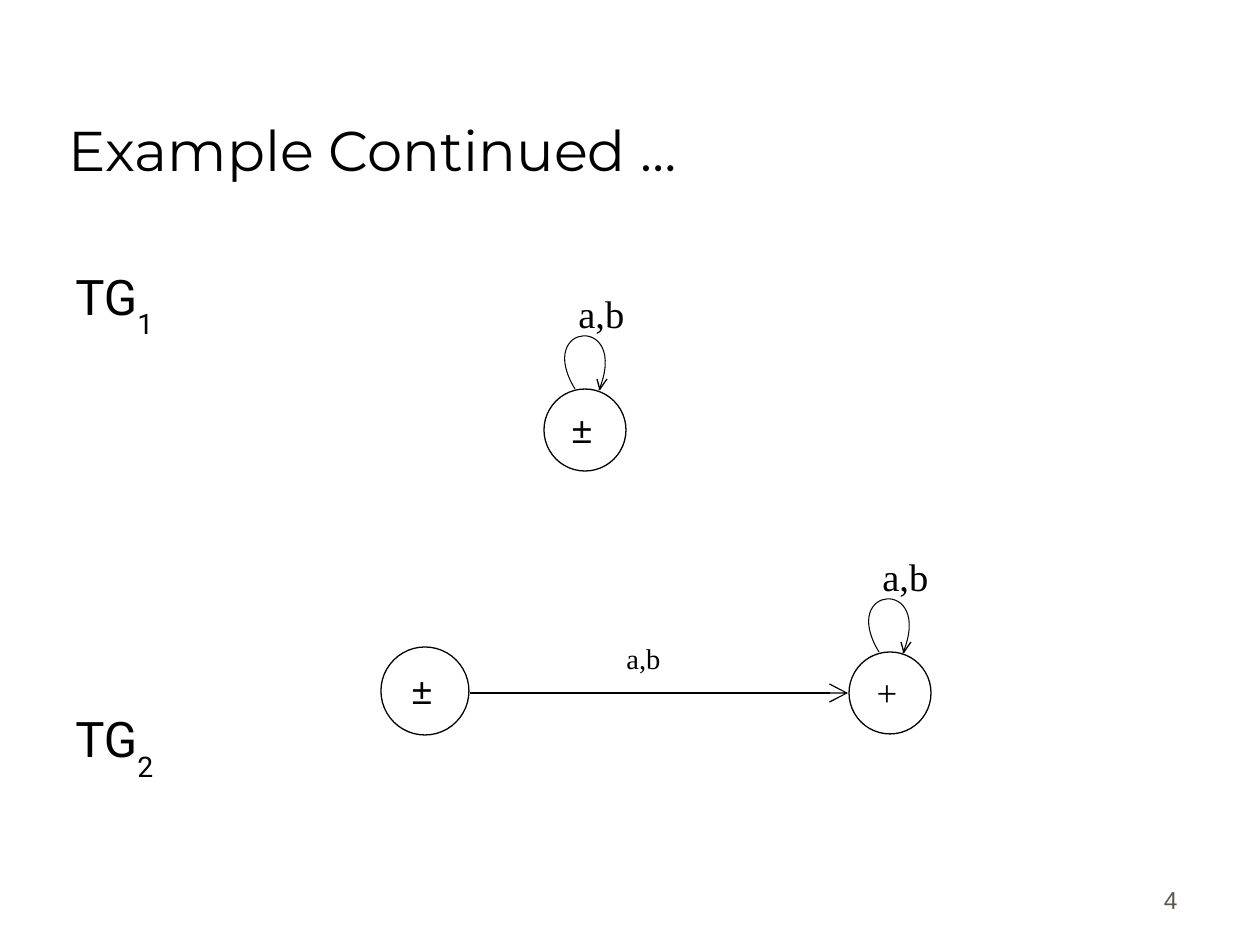
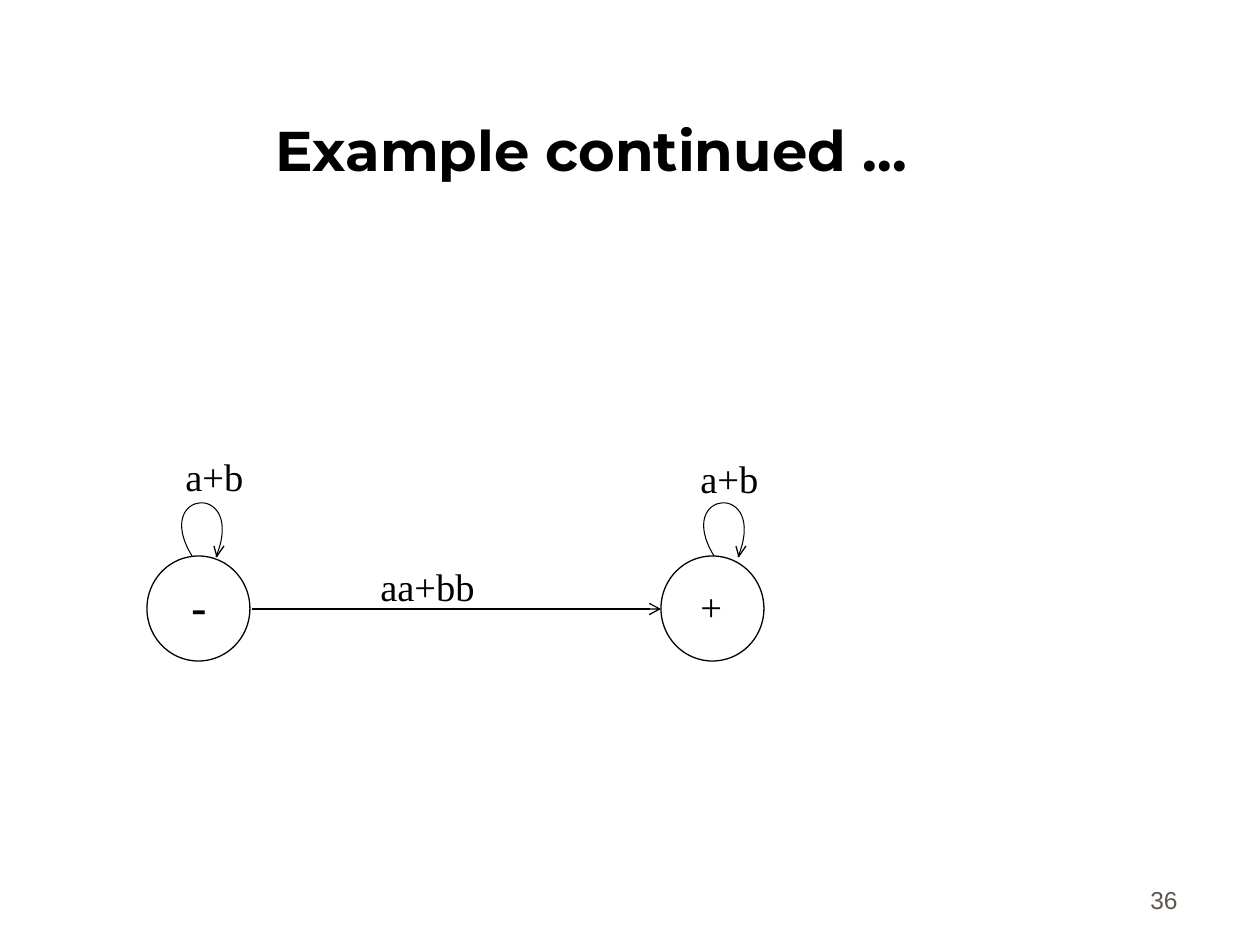
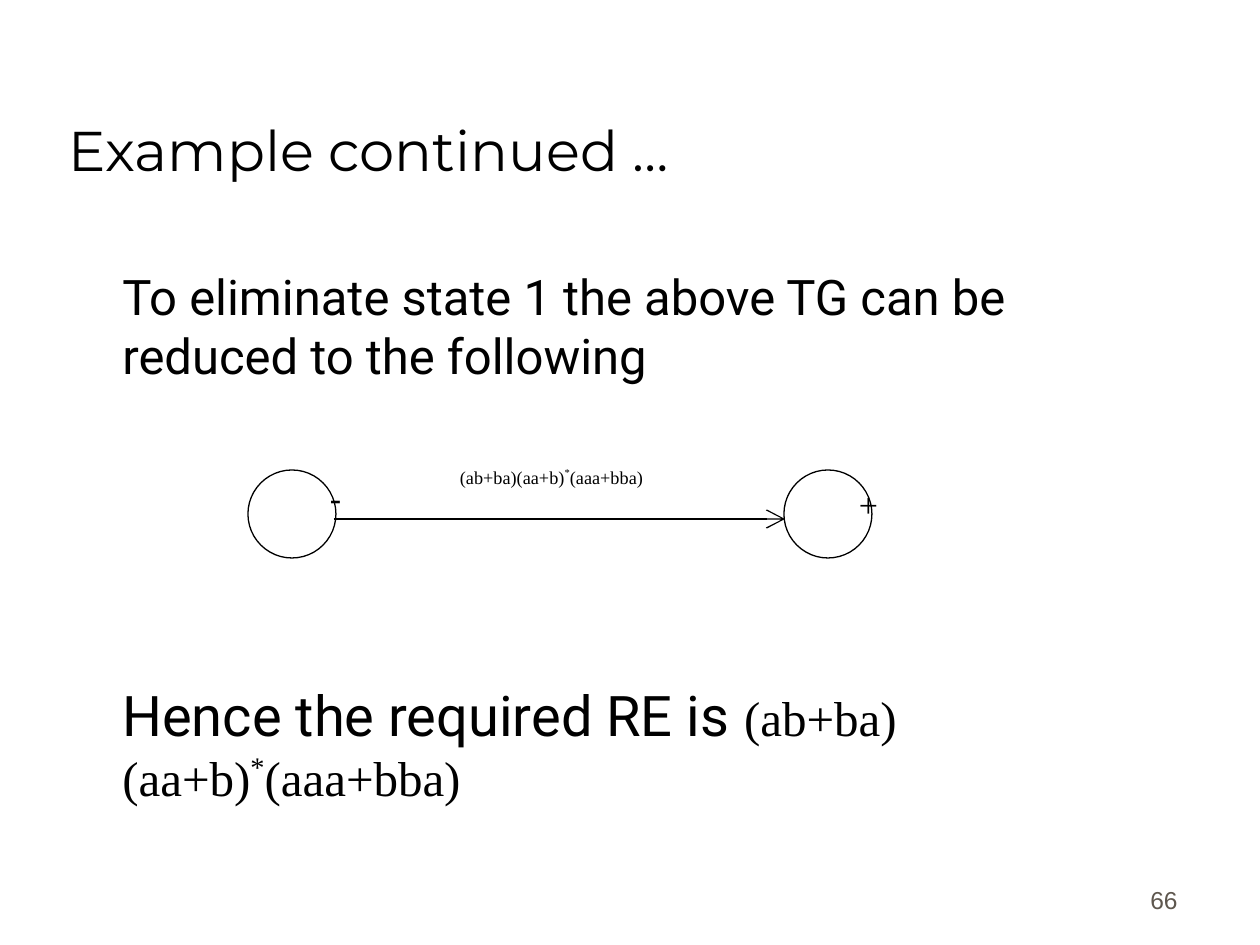
from dataclasses import dataclass
from typing import Optional

from lxml.etree import SubElement
from pptx import Presentation
from pptx.dml.color import RGBColor
from pptx.enum.shapes import MSO_CONNECTOR as CONNECTOR, MSO_SHAPE as SHAPE
from pptx.enum.text import MSO_ANCHOR as ANCHOR, MSO_AUTO_SIZE as AUTO_SIZE, PP_ALIGN as ALIGN
from pptx.oxml.ns import qn
from pptx.util import Emu, Pt

# Shared measures, colours and fonts
EMU_PER_PX = 914400 / 126
SLIDE_SIZE = (1260, 945)
TITLE_FRAME = (56, 31, 1071, 158)
BODY_FRAME = (63, 260, 1126, 575)
NUMBER_FRAME = (928, 858, 262, 63)
BODY_INDENT = 47
BLACK, WHITE, GREY = "000000", "FFFFFF", "5E574E"
TITLE_FONT, BODY_FONT, LABEL_FONT, NUMBER_FONT = "Montserrat", "Roboto", "Times New Roman", "Arial"
TITLE_ONLY = 5

# Self-loop, relative to where it leaves its state: Bezier points and arrowhead strokes
LOOP_CURVE = ((0, 0), (-41, -67), (55, -75), (24, 1))
LOOP_HEAD = ((25, 0, 32, -10), (22, -10, 25, 1))


@dataclass
class Span:
    text: str
    baseline: int = 0
    size: Optional[float] = None
    family: Optional[str] = None


def px(length):
    return Emu(round(length * EMU_PER_PX))


def frame_of(frame):
    return [px(length) for length in frame]


def color(hex_string):
    return RGBColor.from_string(hex_string)


def set_font(font, size, family, hex_color=BLACK, bold=False):
    font.size = Pt(size)
    font.name = family
    font.bold = bold
    font.color.rgb = color(hex_color)


def add_spans(para, spans):
    for span in spans:
        run = para.add_run()
        run.text = span.text
        if span.baseline:
            run._r.get_or_add_rPr().set("baseline", str(span.baseline * 1000))
        if span.size:
            run.font.size = Pt(span.size)
        if span.family:
            run.font.name = span.family


def add_box(page, frame, anchor=ANCHOR.TOP):
    text_frame = page.shapes.add_textbox(*frame_of(frame)).text_frame
    text_frame.word_wrap = True
    text_frame.vertical_anchor = anchor
    return text_frame


def add_page(deck, title, number, align=ALIGN.LEFT, bold=False):
    page = deck.slides.add_slide(deck.slide_layouts[TITLE_ONLY])
    heading = page.shapes.title
    heading.left, heading.top, heading.width, heading.height = frame_of(TITLE_FRAME)
    heading.text_frame.text = title
    heading.text_frame.auto_size = AUTO_SIZE.NONE
    heading.text_frame.vertical_anchor = ANCHOR.BOTTOM
    para = heading.text_frame.paragraphs[0]
    para.alignment = align
    set_font(para.font, 32, TITLE_FONT, bold=bold)

    para = add_box(page, NUMBER_FRAME, ANCHOR.BOTTOM).paragraphs[0]
    para.text = str(number)
    para.alignment = ALIGN.RIGHT
    set_font(para.font, 14, NUMBER_FONT, GREY)
    return page


def add_body(page, paragraphs, gap, indent=0):
    """Write the paragraphs with a gap in points that leaves room for a diagram."""
    text_frame = add_box(page, BODY_FRAME)
    for index, spans in enumerate(paragraphs):
        para = text_frame.add_paragraph() if index else text_frame.paragraphs[0]
        para.space_before = Pt(gap if index else 0)
        para._p.get_or_add_pPr().set("marL", str(px(indent)))
        set_font(para.font, 28, BODY_FONT)
        add_spans(para, spans)


def add_label(page, frame, spans, size=22, align=ALIGN.LEFT, spacing=1.0, bold=False):
    para = add_box(page, frame).paragraphs[0]
    para.alignment = align
    para.line_spacing = spacing
    set_font(para.font, size, LABEL_FONT, bold=bold)
    add_spans(para, spans)


def set_line(shape, width, arrow_size=None):
    shape.line.color.rgb = color(BLACK)
    shape.line.width = Pt(width)
    if arrow_size:
        outline = shape.element.spPr.find(qn("a:ln"))
        SubElement(outline, qn("a:tailEnd"), type="arrow", w=arrow_size, len=arrow_size)


def add_state(page, left, top, width, height, symbol="", family=LABEL_FONT):
    state = page.shapes.add_shape(SHAPE.OVAL, *frame_of((left, top, width, height)))
    state.shadow.inherit = False
    state.fill.solid()
    state.fill.fore_color.rgb = color(WHITE)
    set_line(state, 0.75)
    if symbol:
        text_frame = state.text_frame
        text_frame.vertical_anchor = ANCHOR.MIDDLE
        text_frame.margin_left, text_frame.margin_right = px(0), px(6)
        text_frame.margin_top, text_frame.margin_bottom = px(0), px(2)
        para = text_frame.paragraphs[0]
        para.text = symbol
        para.alignment = ALIGN.CENTER
        set_font(para.font, 21, family)


def add_line(page, x1, y1, x2, y2, arrow_size=None):
    line = page.shapes.add_connector(CONNECTOR.STRAIGHT, *frame_of((x1, y1, x2, y2)))
    set_line(line, 0.75, arrow_size)
    SubElement(line.element.spPr, qn("a:effectLst"))


def add_loop(page, x, y):
    points = [(px(x + dx), px(y + dy)) for dx, dy in LOOP_CURVE]
    builder = page.shapes.build_freeform(*points[0])
    builder.add_line_segments(points[1:], close=False)
    loop = builder.convert_to_shape()
    loop.shadow.inherit = False
    loop.fill.background()
    set_line(loop, 0.6)

    # Turn the three segments into one Bezier curve
    outline = next(loop.element.iter(qn("a:path")))
    segments = outline.findall(qn("a:lnTo"))
    curve = SubElement(outline, qn("a:cubicBezTo"))
    for segment in segments:
        curve.append(segment[0])
        outline.remove(segment)

    for x1, y1, x2, y2 in LOOP_HEAD:
        add_line(page, x + x1, y + y1, x + x2, y + y2)


def build_two_graphs(deck):
    page = add_page(deck, "Example Continued …", 4)
    add_body(page, [[Span("TG"), Span(digit, -40)] for digit in "12"], gap=210.5)

    # TG1: one state
    add_state(page, 544, 389, 82, 82, "±", "Arial")
    add_loop(page, 575, 389)
    add_label(page, (566, 284, 106, 71), [Span("a,b")])

    # TG2: two states
    add_state(page, 381, 647, 88, 88, "±", "Arial")
    add_state(page, 849, 652, 82, 82, "+")
    add_line(page, 470, 693, 848, 693, "lg")
    add_label(page, (614, 641, 82, 48), [Span("a,b")], size=16.3, spacing=0.8)
    add_loop(page, 879, 652)
    add_label(page, (870, 547, 106, 71), [Span("a,b")])


def build_looped_states(deck):
    page = add_page(deck, "Example continued …", 36, ALIGN.CENTER, bold=True)
    for left in (147, 661):
        add_state(page, left, 556, 103, 105)
    add_line(page, 252, 609, 661, 609, "med")
    for x in (192, 714):
        add_loop(page, x, 556)
    for left, top, text in ((173, 447, "a+b"), (688, 449, "a+b"),
                            (368, 557, "aa+bb"), (688, 577, "+")):
        add_label(page, (left, top, 123, 84), [Span(text)])
    add_label(page, (179, 572, 123, 84), [Span("-")], size=26, bold=True)


def build_reduced_graph(deck):
    page = add_page(deck, "Example continued …", 66)
    expression = (("(ab+ba)(aa+b)", 0), ("*", 40), ("(aaa+bba)", 0))
    add_body(page, [
        [Span("To eliminate state 1 the above TG can be reduced to the following")],
        [Span("Hence the required RE is ", size=32)]
        + [Span(text, baseline, family=LABEL_FONT) for text, baseline in expression],
    ], gap=169.5, indent=BODY_INDENT)

    # Two states joined by the whole expression
    for left in (248, 784):
        add_state(page, left, 470, 88, 88)
    for left, top, symbol in ((271, 478, "-"), (804, 485, "+")):
        add_label(page, (left, top, 129, 53), [Span(symbol)], 19.4, ALIGN.CENTER, 0.8)
    add_line(page, 334, 519, 785, 519, "lg")
    add_label(page, (336, 464, 431, 34), [Span(*part) for part in expression],
              10.4, ALIGN.CENTER, 0.8)


def main():
    deck = Presentation()
    deck.slide_width, deck.slide_height = frame_of(SLIDE_SIZE)
    build_two_graphs(deck)
    build_looped_states(deck)
    build_reduced_graph(deck)
    deck.save("out.pptx")


if __name__ == "__main__":
    main()
